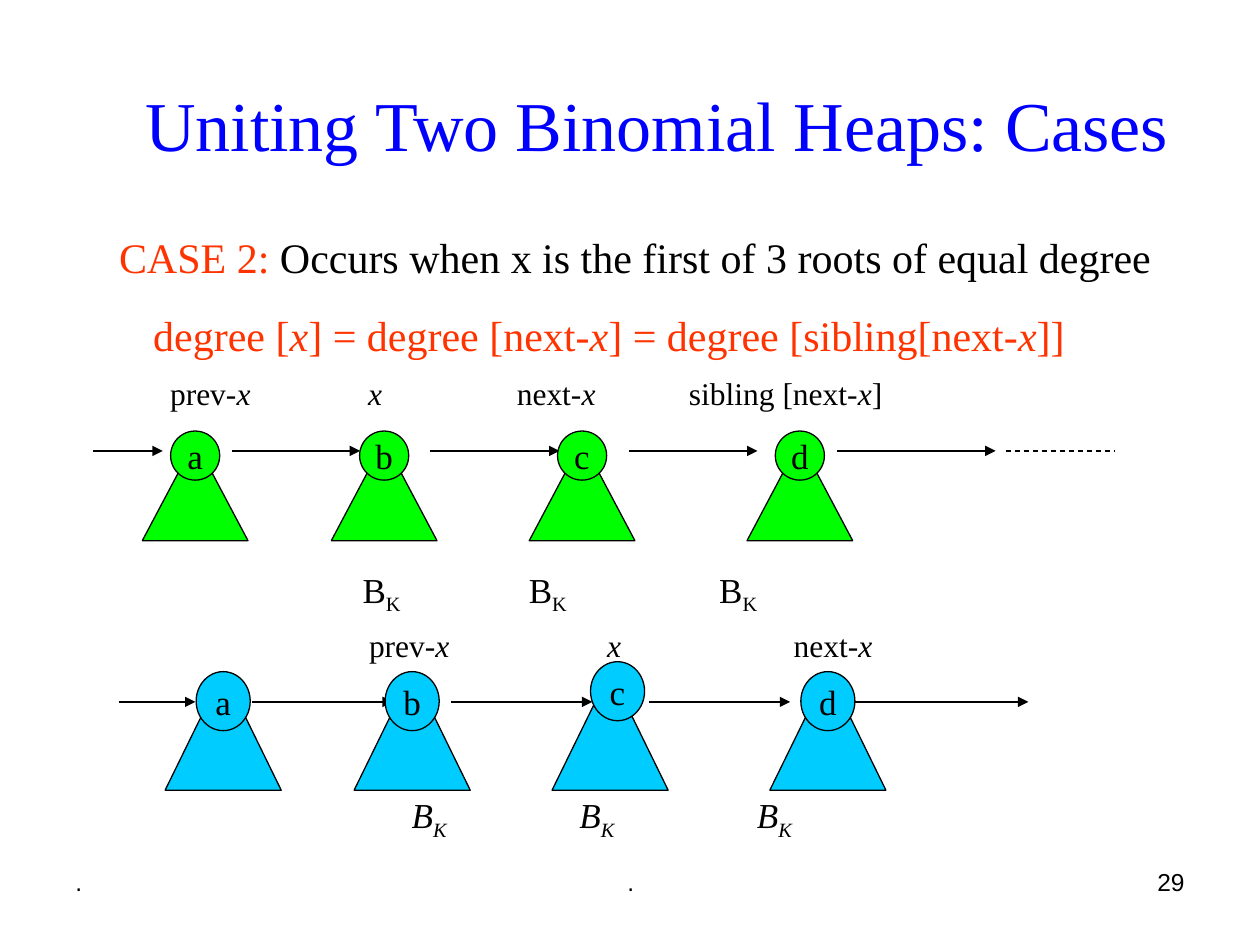
from dataclasses import dataclass

from lxml.etree import SubElement
from pptx import Presentation
from pptx.dml.color import RGBColor
from pptx.enum.dml import MSO_LINE
from pptx.enum.shapes import MSO_CONNECTOR, MSO_SHAPE
from pptx.enum.text import MSO_ANCHOR, PP_ALIGN
from pptx.oxml.ns import qn
from pptx.util import Cm, Pt


@dataclass(frozen=True)
class Theme:
    """Colours, fonts and type sizes of the slide."""
    black: str = "000000"
    blue: str = "0000FF"
    red: str = "FF3300"
    green: str = "00FF00"
    cyan: str = "00CCFF"
    serif: str = "Times New Roman"
    sans: str = "Arial"
    title: int = 40
    body: int = 24
    node: int = 20
    label: int = 18
    foot: int = 14
    line: float = 0.75


THEME = Theme()
ITALIC = {"italic": True}
SUB = {"sub": True}
RED = {"color": THEME.red}
X = ("x", ITALIC)
STEPS = (0, 3.81, 7.8, 12.19)


def write(frame, *runs, size=THEME.label, color=THEME.black, font=THEME.serif,
          italic=False, align=PP_ALIGN.LEFT, tabs=(), before=0, indent=0, more=False):
    """Write one paragraph of plain or (text, format) runs into a frame."""
    para = frame.add_paragraph() if more else frame.paragraphs[0]
    para.alignment = align
    props = para._p.get_or_add_pPr()
    if indent:
        props.set("marL", str(Cm(indent)))
    if before:
        para.space_before = Pt(before)
    if tabs:
        stops = SubElement(props, qn("a:tabLst"))
        for stop in tabs:
            SubElement(stops, qn("a:tab"), pos=str(Cm(stop)), algn="l")
    for item in runs:
        words, style = (item, {}) if isinstance(item, str) else item
        run = para.add_run()
        run.text = words
        run.font.name = font
        run.font.size = Pt(size)
        run.font.italic = style.get("italic", italic)
        run.font.color.rgb = RGBColor.from_string(style.get("color", color))
        if style.get("sub"):
            run._r.get_or_add_rPr().set("baseline", "-25000")


def panel(slide, box, anchor=MSO_ANCHOR.TOP):
    """Add a wrapping text box and return its frame."""
    frame = slide.shapes.add_textbox(*map(Cm, box)).text_frame
    frame.word_wrap = True
    frame.vertical_anchor = anchor
    return frame


def solid(slide, kind, box, fill):
    """Add a filled shape with a thin black outline."""
    shape = slide.shapes.add_shape(kind, *map(Cm, box))
    shape.shadow.inherit = False
    shape.fill.solid()
    shape.fill.fore_color.rgb = RGBColor.from_string(fill)
    shape.line.color.rgb = RGBColor.from_string(THEME.black)
    shape.line.width = Pt(THEME.line)
    return shape


def link(slide, start, end, top, dash=False):
    """Add a level arrow, or a dashed line without a head."""
    line = slide.shapes.add_connector(
        MSO_CONNECTOR.STRAIGHT, Cm(start), Cm(top), Cm(end), Cm(top))
    line.line.color.rgb = RGBColor.from_string(THEME.black)
    line.line.width = Pt(THEME.line)
    if dash:
        line.line.dash_style = MSO_LINE.DASH
    else:
        SubElement(line.line._get_or_add_ln(), qn("a:tailEnd"), type="triangle")
    SubElement(line._element.spPr, qn("a:effectLst"))


def heaps(slide, box, fill, ball, rise, drop, spans, nudge):
    """Draw a root list: arrows, then a triangle and root for each heap."""
    left, top, width, height = box
    wide, high = ball
    for start, end in spans:
        link(slide, left + start, left + end, top + drop)
    for name, step in zip("abcd", STEPS):
        side = left + step
        solid(slide, MSO_SHAPE.ISOSCELES_TRIANGLE, (side, top, width, height), fill)
        dx, dy = nudge.get(name, (0, 0))
        root = solid(slide, MSO_SHAPE.OVAL,
                     (side + (width - wide) / 2 + dx, top - rise + dy, wide, high), fill)
        frame = root.text_frame
        frame.word_wrap = False
        frame.vertical_anchor = MSO_ANCHOR.MIDDLE
        write(frame, name, size=THEME.node, align=PP_ALIGN.CENTER)


def before(slide, box):
    """Draw the heaps before the step with their labels."""
    left, top = box[:2]
    write(panel(slide, (left + 1.3, top, 18.49, 1.02)),
          "prev-", X, "\t", X, "\tnext-", X, "\tsibling [next-", X, "]",
          tabs=(3.99, 6.99, 10.46))
    spans = (-.99, .41), (1.8, 4.39), (5.79, 8.41), (9.8, 12.4), (14, 17.2)
    heaps(slide, (left + .99, top + 1.47, 2.13, 2.01), THEME.green,
          (.99, .99), .2, .2, spans, {})
    link(slide, left + 18.39, left + 20.6, top + 1.67, dash=True)
    write(panel(slide, (left + 5.18, top + 3.91, 12.6, 1.22)),
          "B", ("K", SUB), "\tB", ("K", SUB), "\tB", ("K", SUB),
          size=THEME.node, tabs=(3.35, 7.19))


def after(slide, box):
    """Draw the heaps after the step with their labels."""
    left, top = box[:2]
    write(panel(slide, (left + 4.8, top, 14.96, 1.02)),
          "prev-", X, "\t", X, "\tnext-", X, tabs=(4.8, 8.56))
    spans = (-.94, .61), (1.75, 4.59), (5.76, 8.61), (9.75, 12.6), (13.89, 17.4)
    heaps(slide, (left + .94, top + 1.04, 2.34, 2.39), THEME.cyan,
          (1.09, 1.19), 0, .61, spans, {"c": (.15, -.2)})
    low = {"italic": True, "sub": True}
    write(panel(slide, (left + 5.66, top + 3.38, 12.4, 1.22)),
          "B", ("K", low), "\tB", ("K", low), "\tB", ("K", low),
          size=THEME.node, italic=True, tabs=(3.38, 6.96))


def head(slide, box):
    """Place the slide title."""
    write(panel(slide, box, MSO_ANCHOR.MIDDLE), "Uniting Two Binomial Heaps: Cases",
          size=THEME.title, color=THEME.blue, align=PP_ALIGN.CENTER)


def case(slide, box):
    """State the case and its condition."""
    frame = panel(slide, box)
    write(frame, ("CASE 2:", RED),
          " Occurs when x is the first of 3 roots of equal degree",
          size=THEME.body, indent=.58)
    write(frame, "degree [", X, "] = degree [next-", X,
          "] = degree [sibling[next-", X, "]]",
          size=THEME.body, color=THEME.red, indent=1.27, before=15.5, more=True)


def foot(slide, box):
    """Place the three footer fields."""
    left, top, width, height = box
    parts = ((".", 0, 5.93, PP_ALIGN.LEFT), (".", 7.42, 8.05, PP_ALIGN.CENTER),
             ("29", width - 5.93, 5.93, PP_ALIGN.RIGHT))
    for words, step, wide, align in parts:
        write(panel(slide, (left + step, top, wide, height)), words,
              size=THEME.foot, font=THEME.sans, align=align)


def main():
    """Build and save the slide."""
    deck = Presentation()
    deck.slide_width, deck.slide_height = Cm(25.4), Cm(19.05)
    slide = deck.slides.add_slide(deck.slide_layouts[6])
    foot(slide, (1.27, 17.35, 22.86, 1.32))
    before(slide, (1.88, 7.42, 20.6, 5.13))
    after(slide, (2.39, 12.5, 19.76, 4.6))
    head(slide, (1.09, .91, 24.31, 3.18))
    case(slide, (1.57, 4.55, 22.4, 2.8))
    deck.save("out.pptx")


if __name__ == "__main__":
    main()
